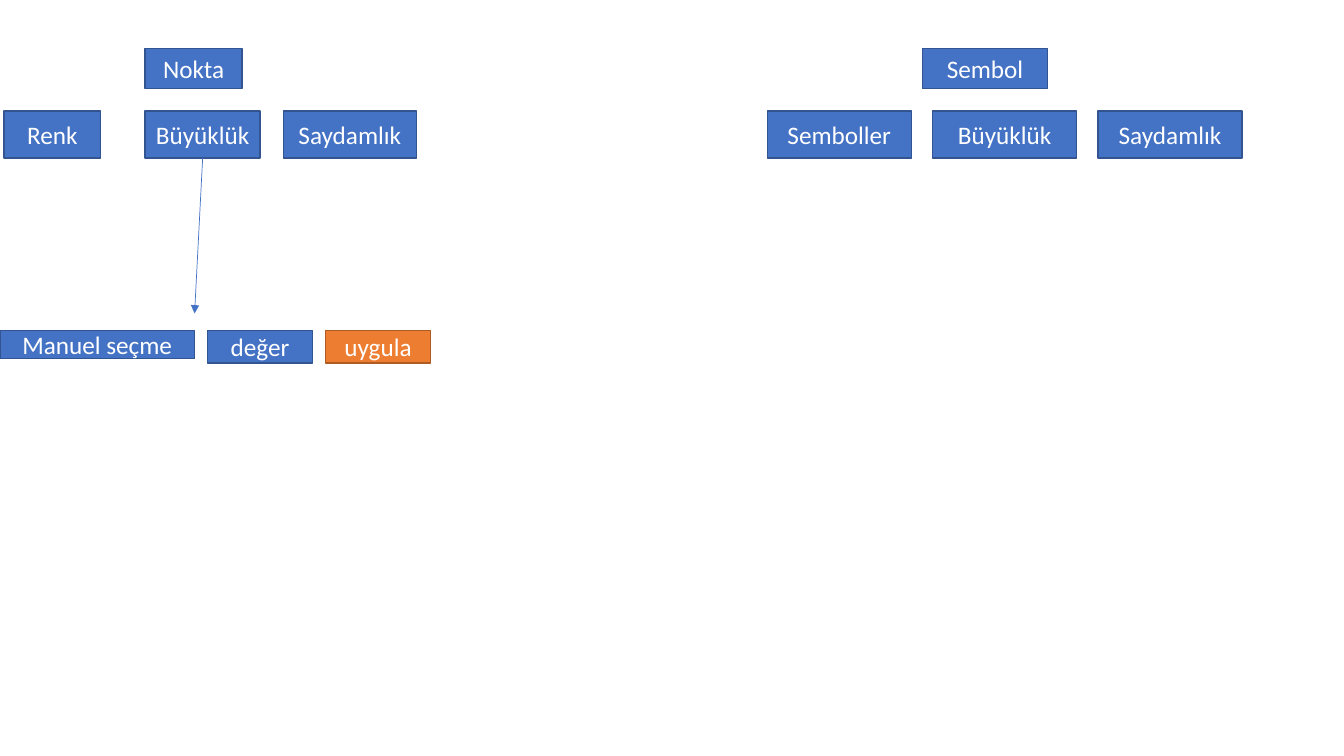
from dataclasses import dataclass

from lxml.etree import SubElement
from pptx import Presentation
from pptx.dml.color import RGBColor
from pptx.enum.shapes import MSO_CONNECTOR, MSO_SHAPE
from pptx.enum.text import MSO_ANCHOR, PP_ALIGN
from pptx.oxml.ns import qn
from pptx.shapes.autoshape import Shape
from pptx.slide import Slide
from pptx.util import Inches, Pt


@dataclass(frozen=True)
class Paint:
    fill: RGBColor
    line: RGBColor


@dataclass(frozen=True)
class Theme:
    option: Paint = Paint(RGBColor(0x44, 0x72, 0xC4), RGBColor(0x32, 0x54, 0x91))
    action: Paint = Paint(RGBColor(0xED, 0x7D, 0x31), RGBColor(0xAF, 0x5C, 0x24))
    text: RGBColor = RGBColor(0xFF, 0xFF, 0xFF)
    font: str = "Calibri"
    size: Pt = Pt(18)
    border: Pt = Pt(1)
    arrow: Pt = Pt(0.5)


THEME = Theme()


@dataclass(frozen=True)
class Box:
    label: str
    left: float
    width: float
    paint: Paint = THEME.option


@dataclass(frozen=True)
class Row:
    top: float
    height: float
    boxes: tuple[Box, ...]


SYMBOL_LEFT, SYMBOL_WIDTH, SYMBOL_STEP = 7.61, 1.43, 1.64
SYMBOL_OPTIONS = tuple(
    Box(label, SYMBOL_LEFT + index * SYMBOL_STEP, SYMBOL_WIDTH)
    for index, label in enumerate(("Semboller", "Büyüklük", "Saydamlık"))
)
POINT_SIZE = Box("Büyüklük", 1.44, 1.14)

ROWS = (
    Row(0.48, 0.4, (Box("Nokta", 1.44, 0.96), Box("Sembol", 9.15, 1.24))),
    Row(1.1, 0.47, (
        Box("Renk", 0.04, 0.96),
        POINT_SIZE,
        Box("Saydamlık", 2.81, 1.32),
        *SYMBOL_OPTIONS,
    )),
    Row(3.28, 0.32, (
        Box("değer", 2.06, 1.04),
        Box("uygula", 3.23, 1.04, THEME.action),
    )),
    Row(3.28, 0.28, (Box("Manuel seçme", 0, 1.93),)),
)
ARROW_TIP = (1.93, 3.11)


def add_box(page: Slide, row: Row, box: Box) -> Shape:
    shape = page.shapes.add_shape(
        MSO_SHAPE.RECTANGLE,
        Inches(box.left), Inches(row.top), Inches(box.width), Inches(row.height),
    )
    shape.shadow.inherit = False
    shape.fill.solid()
    shape.fill.fore_color.rgb = box.paint.fill
    shape.line.color.rgb = box.paint.line
    shape.line.width = THEME.border

    frame = shape.text_frame
    frame_format = {
        "word_wrap": True,
        "vertical_anchor": MSO_ANCHOR.MIDDLE,
        "margin_left": Inches(0.05),
        "margin_right": Inches(0.05),
    }
    for name, value in frame_format.items():
        setattr(frame, name, value)

    para = frame.paragraphs[0]
    para.alignment = PP_ALIGN.CENTER
    span = para.add_run()
    span.text = box.label
    for name, value in {"name": THEME.font, "size": THEME.size}.items():
        setattr(span.font, name, value)
    span.font.color.rgb = THEME.text
    return shape


def add_arrow(page: Slide, source: Shape, tip: tuple[float, float]) -> None:
    """Draw an arrow from the bottom centre of the source to the tip."""
    end = [Inches(value) for value in tip]
    arrow = page.shapes.add_connector(MSO_CONNECTOR.STRAIGHT, *end, *end)
    arrow.begin_connect(source, 2)
    arrow.line.color.rgb = THEME.option.fill
    arrow.line.width = THEME.arrow
    SubElement(arrow.line._get_or_add_ln(), qn("a:tailEnd"), type="triangle")
    SubElement(arrow._element.spPr, qn("a:effectLst"))


def main() -> None:
    deck = Presentation()
    deck.slide_width, deck.slide_height = Inches(13.33), Inches(7.5)
    page = deck.slides.add_slide(deck.slide_layouts.get_by_name("Blank"))
    shapes = {box: add_box(page, row, box) for row in ROWS for box in row.boxes}
    add_arrow(page, shapes[POINT_SIZE], ARROW_TIP)
    deck.save("out.pptx")


if __name__ == "__main__":
    main()
